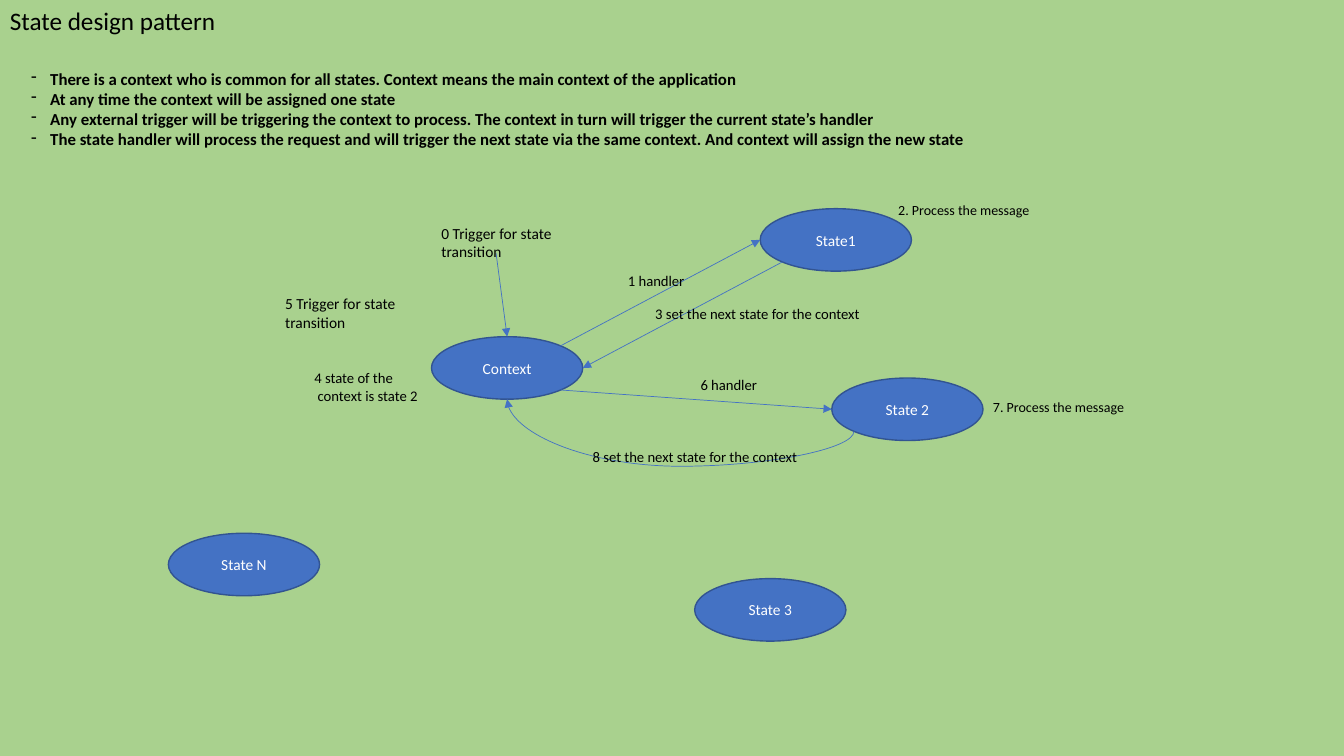
"""Builds the slide that explains the state design pattern."""
import math

import pptx
import pptx.dml.color
import pptx.enum.shapes
import pptx.enum.text
import pptx.oxml
import pptx.oxml.ns
import pptx.util
from lxml import etree

Inches = pptx.util.Inches
Pt = pptx.util.Pt
qn = pptx.oxml.ns.qn
Anchor = pptx.enum.text.MSO_ANCHOR
Align = pptx.enum.text.PP_ALIGN
AutoSize = pptx.enum.text.MSO_AUTO_SIZE
Connector = pptx.enum.shapes.MSO_CONNECTOR
TOP, LEFT, BOTTOM_LEFT, BOTTOM_RIGHT, RIGHT, TOP_RIGHT = 0, 2, 3, 5, 6, 7


def color(value):
    return pptx.dml.color.RGBColor.from_string(value)


def apply(target, formats):
    for key, value in formats.items():
        setattr(target, key, value)


class Diagram:
    font = "Calibri"
    ink, paper = "000000", "FFFFFF"
    accent, edge = "4472C4", "325491"
    state_width, state_height = 1.5, 0.62

    def __init__(self, slide, background):
        self.slide = slide
        slide.background.fill.solid()
        slide.background.fill.fore_color.rgb = color(background)

    def fill_text(self, frame, lines, size, ink, bold=False, align=Align.LEFT):
        for number, line in enumerate(lines):
            paragraph = frame.add_paragraph() if number else frame.paragraphs[0]
            paragraph.alignment = align
            run = paragraph.add_run()
            run.text = line
            apply(run.font, {"name": self.font, "size": Pt(size), "bold": bold})
            run.font.color.rgb = color(ink)

    def text(self, box, lines, size, wrap=False, bold=False):
        frame = self.slide.shapes.add_textbox(*map(Inches, box)).text_frame
        apply(frame, {"word_wrap": wrap, "auto_size": AutoSize.SHAPE_TO_FIT_TEXT})
        self.fill_text(frame, lines, size, self.ink, bold)
        return frame

    def bullets(self, box, lines, size, indent):
        for paragraph in self.text(box, lines, size, bold=True).paragraphs:
            properties = paragraph._p.get_or_add_pPr()
            properties.set("marL", str(Inches(indent)))
            properties.set("indent", str(-Inches(indent)))
            etree.SubElement(properties, qn("a:buChar")).set("char", "-")

    def state(self, left, top, label):
        oval = self.slide.shapes.add_shape(
            pptx.enum.shapes.MSO_SHAPE.OVAL,
            *map(Inches, (left, top, self.state_width, self.state_height)))
        oval.shadow.inherit = False
        oval.fill.solid()
        oval.fill.fore_color.rgb = color(self.accent)
        oval.line.color.rgb = color(self.edge)
        oval.line.width = Pt(1)
        apply(oval.text_frame, {"vertical_anchor": Anchor.MIDDLE, "word_wrap": True})
        self.fill_text(oval.text_frame, [label], 11, self.paper, align=Align.CENTER)
        return oval

    def site(self, oval, index):
        angle = math.radians(90 + 45 * index)
        return (round(oval.left + oval.width / 2 * (1 + math.cos(angle))),
                round(oval.top + oval.height / 2 * (1 - math.sin(angle))))

    def line(self, kind, begin, end):
        connector = self.slide.shapes.add_connector(kind, *begin, *end)
        connector.line.color.rgb = color(self.accent)
        connector.line.width = Pt(0.5)
        tail = etree.SubElement(connector.line._get_or_add_ln(), qn("a:tailEnd"))
        tail.set("type", "triangle")
        etree.SubElement(connector._element.spPr, qn("a:effectLst"))
        return connector

    def arrow(self, source, source_site, target, target_site):
        connector = self.line(Connector.STRAIGHT, self.site(source, source_site),
                              self.site(target, target_site))
        joints = next(connector._element.iter(qn("p:cNvCxnSpPr")))
        for tag, oval, index in (("a:stCxn", source, source_site),
                                 ("a:endCxn", target, target_site)):
            joint = etree.SubElement(joints, qn(tag))
            joint.set("id", str(oval.shape_id))
            joint.set("idx", str(index))

    def trigger(self, begin, target):
        connector = self.line(Connector.STRAIGHT, map(Inches, begin),
                              self.site(target, TOP))
        connector.end_connect(target, TOP)

    def return_curve(self, begin, end, bend):
        (x1, y1), (x2, y2) = begin, end
        x, y = (x1 + x2) / 2, (y1 + y2) / 2
        half_width, half_height = (y1 - y2) / 2, (x1 - x2) / 2
        curve = self.line(Connector.CURVE,
                          map(Inches, (x + half_width, y - half_height)),
                          map(Inches, (x - half_width, y + half_height)))
        properties = curve._element.spPr
        properties.find(qn("a:xfrm")).set("rot", "5400000")
        guide = etree.SubElement(next(properties.iter(qn("a:avLst"))), qn("a:gd"))
        guide.set("name", "adj1")
        guide.set("fmla", f"val {round(bend * 100000)}")


def main():
    deck = pptx.Presentation()
    apply(deck, {"slide_width": Inches(13.33), "slide_height": Inches(7.5)})
    diagram = Diagram(deck.slides.add_slide(deck.slide_layouts[6]), "A9D18E")

    diagram.text((0, 0, 2.27, 0.4), ["State design pattern"], 18)
    diagram.bullets((0.21, 0.63, 9.57, 0.91), [
        "There is a context who is common for all states. "
        "Context means the main context of the application",
        "At any time the context will be assigned one state",
        "Any external trigger will be triggering the context to process. "
        "The context in turn will trigger the current state’s handler",
        "The state handler will process the request and will trigger the next state "
        "via the same context. And context will assign the new state",
    ], 12, 0.19)

    context = diagram.state(4.28, 3.34, "Context")
    first = diagram.state(7.54, 2.07, "State1")
    second = diagram.state(8.25, 3.75, "State 2")
    diagram.state(6.89, 5.74, "State 3")
    diagram.state(1.67, 5.29, "State N")

    diagram.trigger((4.92, 2.51), context)
    diagram.arrow(context, TOP_RIGHT, first, LEFT)
    diagram.arrow(first, BOTTOM_LEFT, context, RIGHT)
    diagram.arrow(context, BOTTOM_RIGHT, second, LEFT)
    diagram.return_curve((8.47, 4.28), (5.03, 3.96), -1.08)

    for left, top, step in ((4.28, 2.17, 0), (2.73, 2.87, 5)):
        diagram.text((left, top, 1.81, 0.47),
                     [f"{step} Trigger for state transition"], 11, wrap=True)
    for left, top, step in ((6.13, 2.65, 1), (6.85, 3.68, 6)):
        diagram.text((left, top, 0.77, 0.28), [f"{step} handler"], 10.5)
    for left, top, step in ((8.81, 1.95, 2), (9.75, 3.9, 7)):
        diagram.text((left, top, 1.52, 0.27), [f"{step}. Process the message"], 10)
    for left, top, step in ((6.4, 2.97, 3), (5.78, 4.39, 8)):
        diagram.text((left, top, 2.28, 0.28),
                     [f"{step} set the next state for the context"], 10.5)
    diagram.text((3.02, 3.61, 1.25, 0.45),
                 ["4 state of the", " context is state 2"], 10.5)

    deck.save("out.pptx")


if __name__ == "__main__":
    main()
